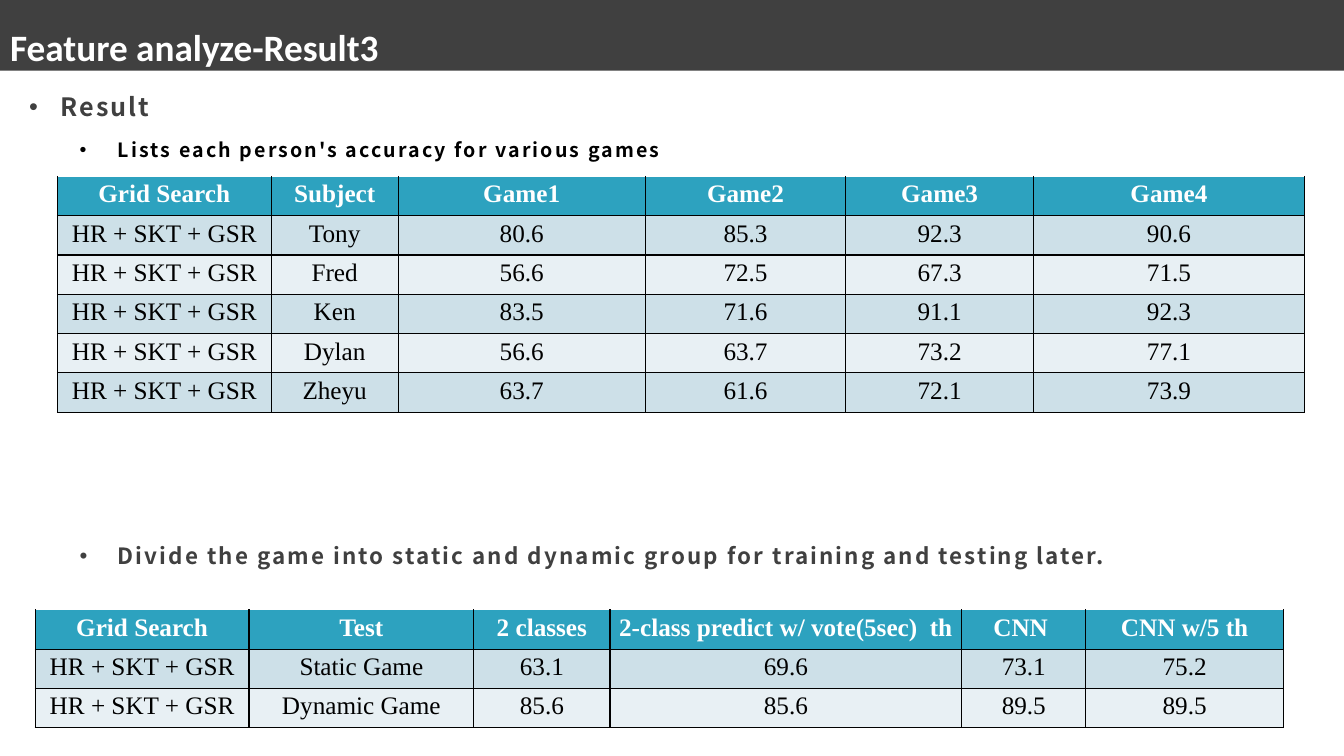
"""Build the slide that reports game accuracy per person and per game group."""
from dataclasses import dataclass

from lxml.etree import SubElement
from pptx import Presentation
from pptx.dml.color import RGBColor
from pptx.enum.text import MSO_ANCHOR as Anchor, MSO_AUTO_SIZE as AutoSize, PP_ALIGN as Align
from pptx.oxml.ns import qn
from pptx.slide import Slide
from pptx.util import Inches, Pt

COLORS = {
    "bar": "404040",
    "white": "FFFFFF",
    "black": "000000",
    "header": "2DA2BF",
    "odd": "CDE0E8",
    "even": "E8F0F4",
}
FEATURES = "HR + SKT + GSR"
ROW_HEIGHT = 0.39


@dataclass
class Bullet:
    """A bulleted line; indent and hanging are in inches, the rest in points."""
    text: str
    size: int
    color: str
    level: int
    indent: float
    hanging: float
    space_before: int = 0


@dataclass
class ResultTable:
    """A table of results, placed in inches."""
    left: float
    top: float
    widths: list[float]
    rows: list[list[str]]


BULLETS = [
    Bullet("Result", 18, "bar", 0, 0.31, 0.31),
    Bullet("Lists each person's accuracy for various games", 14, "black", 1, 0.88, 0.38),
    Bullet("Divide the game into static and dynamic group for training and testing later.",
           16, "bar", 1, 0.88, 0.38, 260),
]
TABLES = [
    ResultTable(0.35, 6.05, [2.12, 2.23, 1.35, 3.49, 1.23, 1.96], [
        ["Grid Search", "Test", "2 classes", "2-class predict w/ vote(5sec)  th", "CNN ", "CNN w/5 th"],
        [FEATURES, "Static Game", "63.1", "69.6", "73.1", "75.2"],
        [FEATURES, "Dynamic Game", "85.6", "85.6", "89.5", "89.5"],
    ]),
    ResultTable(0.57, 1.75, [2.12, 1.26, 2.45, 1.99, 1.86, 2.69], [
        ["Grid Search", "Subject", "Game1", "Game2", "Game3", "Game4"],
        [FEATURES, "Tony", "80.6", "85.3", "92.3", "90.6"],
        [FEATURES, "Fred", "56.6", "72.5", "67.3", "71.5"],
        [FEATURES, "Ken", "83.5", "71.6", "91.1", "92.3"],
        [FEATURES, "Dylan", "56.6", "63.7", "73.2", "77.1"],
        [FEATURES, "Zheyu", "63.7", "61.6", "72.1", "73.9"],
    ]),
]


def rgb(name: str) -> RGBColor:
    """Return the named colour."""
    return RGBColor.from_string(COLORS[name])


def format_runs(paragraph, font_name: str, size: float, color: str, bold: bool) -> None:
    """Format every run of a paragraph."""
    for run in paragraph.runs:
        run.font.name = font_name
        run.font.size = Pt(size)
        run.font.bold = bold
        run.font.color.rgb = rgb(color)


def draw_title(slide: Slide, text: str) -> None:
    """Turn the title placeholder into the dark bar across the top."""
    title = slide.shapes.title
    title.left, title.top = Inches(0), Inches(0)
    title.width, title.height = Inches(13.33), Inches(0.7)
    title.fill.solid()
    title.fill.fore_color.rgb = rgb("bar")
    text_frame = title.text_frame
    text_frame.text = text
    text_frame.auto_size = AutoSize.NONE
    text_frame.vertical_anchor = Anchor.MIDDLE
    paragraph = text_frame.paragraphs[0]
    paragraph.alignment = Align.LEFT
    paragraph.line_spacing = 1.5
    format_runs(paragraph, "Calibri", 26.6, "white", True)


def draw_bullets(slide: Slide, bullets: list[Bullet]) -> None:
    """Write the bulleted lines in one text box."""
    shape = slide.shapes.add_textbox(Inches(0.18), Inches(0.88), Inches(13.15), Inches(6.02))
    text_frame = shape.text_frame
    text_frame.word_wrap = True
    text_frame.margin_left, text_frame.margin_right = Inches(0.11), Inches(0.09)
    text_frame.margin_top = text_frame.margin_bottom = 0
    text_frame.text = "\n".join(bullet.text for bullet in bullets)
    for paragraph, bullet in zip(text_frame.paragraphs, bullets):
        paragraph.level = bullet.level
        paragraph.line_spacing = 1.1
        paragraph.space_before = Pt(bullet.space_before)
        paragraph.space_after = Pt(10)
        format_runs(paragraph, "Noto Sans CJK SC", bullet.size, bullet.color, True)
        for run in paragraph.runs:
            properties = run.font._element
            properties.set("spc", "150")
            SubElement(properties, qn("a:ea")).set("typeface", "Noto Sans CJK SC")
        properties = paragraph._p.get_or_add_pPr()
        properties.set("marL", str(Inches(bullet.indent)))
        properties.set("indent", str(-Inches(bullet.hanging)))
        SubElement(properties, qn("a:buFont")).set("typeface", "Arial")
        SubElement(properties, qn("a:buChar")).set("char", "•")


def draw_borders(cell, top_color: str) -> None:
    """Give a cell thin black borders with a chosen colour on top."""
    properties = cell._tc.get_or_add_tcPr()
    for side in "LRTB":
        line = SubElement(properties, qn(f"a:ln{side}"), w=str(Pt(1)))
        fill = SubElement(line, qn("a:solidFill"))
        color = top_color if side == "T" else "black"
        SubElement(fill, qn("a:srgbClr")).set("val", COLORS[color])


def draw_table(slide: Slide, result: ResultTable) -> None:
    """Draw a result table with a header and banded rows."""
    row_count = len(result.rows)
    frame = slide.shapes.add_table(
        row_count, len(result.widths), Inches(result.left), Inches(result.top),
        Inches(sum(result.widths)), Inches(ROW_HEIGHT * row_count))
    table = frame.table
    for column, width in zip(table.columns, result.widths):
        column.width = Inches(width)
    for row_index, values in enumerate(result.rows):
        is_header = row_index == 0
        band = "header" if is_header else "odd" if row_index % 2 else "even"
        table.rows[row_index].height = Inches(ROW_HEIGHT)
        for column_index, value in enumerate(values):
            cell = table.cell(row_index, column_index)
            cell.margin_left = cell.margin_right = Inches(0.09)
            cell.margin_top = cell.margin_bottom = Inches(0.04)
            draw_borders(cell, "white" if is_header else "black")
            cell.fill.solid()
            cell.fill.fore_color.rgb = rgb(band)
            cell.text_frame.text = value
            paragraph = cell.text_frame.paragraphs[0]
            paragraph.alignment = Align.CENTER
            format_runs(paragraph, "Times New Roman", 18, "white" if is_header else "black", is_header)


def main() -> None:
    """Build and save the presentation."""
    presentation = Presentation()
    presentation.slide_width, presentation.slide_height = Inches(13.33), Inches(7.5)
    slide = presentation.slides.add_slide(presentation.slide_layouts[5])
    draw_title(slide, "Feature analyze-Result3")
    draw_bullets(slide, BULLETS)
    for result in TABLES:
        draw_table(slide, result)
    presentation.save("out.pptx")


if __name__ == "__main__":
    main()
